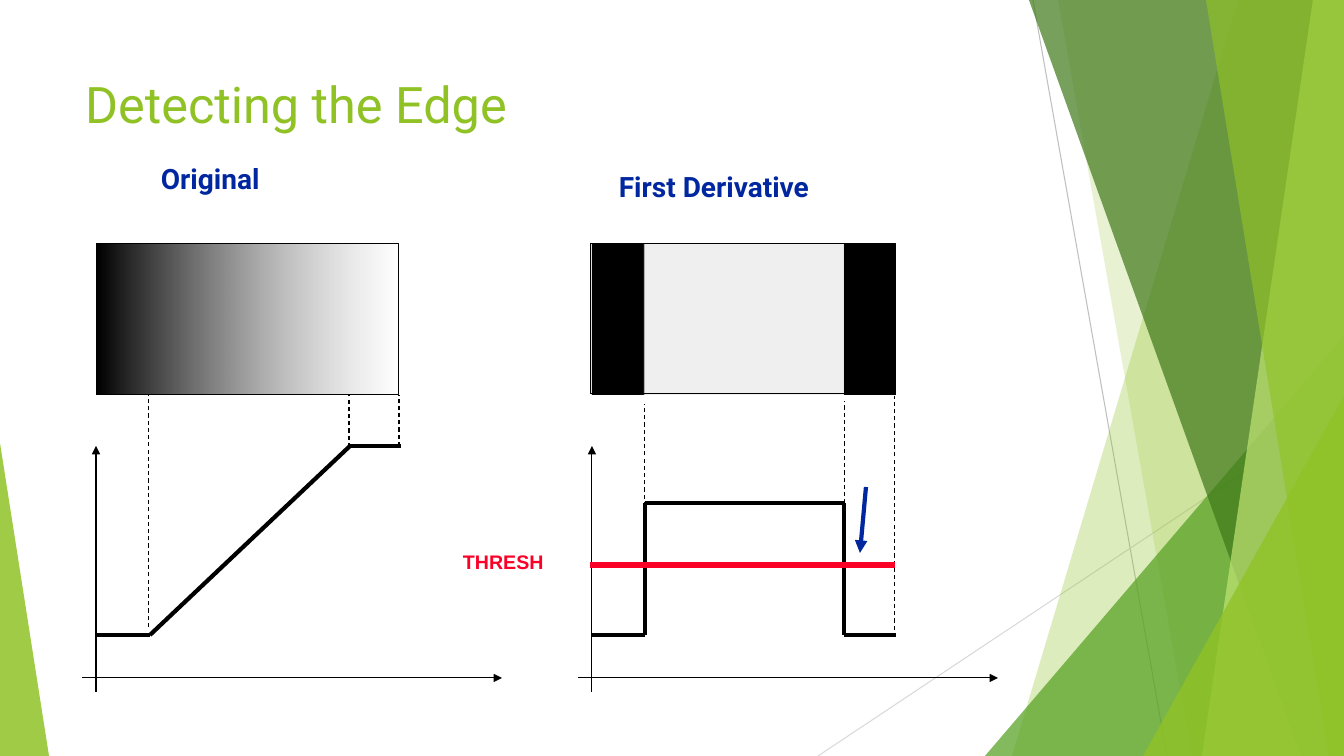
import pptx
import pptx.util
import pptx.dml.color
import pptx.enum.dml
import pptx.enum.shapes
import pptx.enum.text
import pptx.oxml
import pptx.oxml.ns

RGBColor = pptx.dml.color.RGBColor
Pt = pptx.util.Pt
SHAPE = pptx.enum.shapes.MSO_SHAPE
DASH = pptx.enum.dml.MSO_LINE.DASH
SOLID = pptx.enum.dml.MSO_LINE.SOLID
qn = pptx.oxml.ns.qn

BLACK = RGBColor(0x00, 0x00, 0x00)
WHITE = RGBColor(0xFF, 0xFF, 0xFF)
PALE_GRAY = RGBColor(0xEA, 0xEA, 0xEA)
LINE_GRAY = RGBColor(0xBF, 0xBF, 0xBF)
LIGHT_LINE_GRAY = RGBColor(0xD9, 0xD9, 0xD9)
LIME = RGBColor(0x90, 0xC2, 0x26)
GREEN = RGBColor(0x54, 0xA0, 0x21)
DARK_GREEN = RGBColor(0x3F, 0x78, 0x19)
PALE_LIME = RGBColor(0xC0, 0xE4, 0x74)
NAVY = RGBColor(0x00, 0x27, 0x9F)
RED = RGBColor(0xFC, 0x01, 0x28)

EMU_PER_PX = 914400 / 100.8
SLIDE_WIDTH, SLIDE_HEIGHT = 1344, 756
STRIP_TOP, STRIP_HEIGHT = 244, 151
STRIP_BOTTOM = STRIP_TOP + STRIP_HEIGHT
BASE_Y = 635
PLATEAU_Y = 503
THRESHOLD_Y = 565

THIN = {"width": Pt(0.75), "dash_style": SOLID}
DASHED = {"width": Pt(0.75), "dash_style": DASH}
CURVE = {"width": Pt(3), "dash_style": SOLID}
THRESHOLD = {"width": Pt(4.5), "dash_style": SOLID}
TITLE_FONT = {"size": Pt(36), "name": "Roboto", "bold": False}
CAPTION_FONT = {"size": Pt(20), "name": "Roboto", "bold": True}
THRESHOLD_FONT = {"size": Pt(14), "name": "Arial", "bold": True}


def px(length):
    return pptx.util.Emu(round(length * EMU_PER_PX))


def apply_format(target, values):
    for key, value in values.items():
        setattr(target, key, value)


def set_alpha(shape, percent):
    color = list(shape._element.spPr.iter(qn("a:srgbClr")))[-1]
    alpha = pptx.oxml.parse_xml(
        f'<a:alpha {pptx.oxml.ns.nsdecls("a")} val="{percent * 1000}"/>')
    color.append(alpha)


def fill_solid(shape, color, opacity=100):
    shape.shadow.inherit = False
    shape.line.fill.background()
    shape.fill.solid()
    shape.fill.fore_color.rgb = color
    if opacity < 100:
        set_alpha(shape, opacity)


def add_box(slide, kind, box):
    shape = slide.shapes.add_shape(kind, *map(px, box))
    shape.shadow.inherit = False
    return shape


def add_band(slide, left, width, color, opacity=100):
    band = add_box(slide, SHAPE.RECTANGLE, (left, STRIP_TOP, width, STRIP_HEIGHT))
    fill_solid(band, color, opacity)


def add_facet(slide, top_left, bottom_left, color, opacity):
    outline = slide.shapes.build_freeform(px(top_left), 0, scale=1.0)
    corners = [(SLIDE_WIDTH, 0), (SLIDE_WIDTH, SLIDE_HEIGHT), (bottom_left, SLIDE_HEIGHT)]
    outline.add_line_segments([(px(x), px(y)) for x, y in corners], close=True)
    fill_solid(outline.convert_to_shape(), color, opacity)


def add_wedge(slide, left, top, width, apex, color, opacity):
    wedge = add_box(slide, SHAPE.ISOSCELES_TRIANGLE,
                    (left, top, width, SLIDE_HEIGHT - top))
    wedge.adjustments[0] = apex
    fill_solid(wedge, color, opacity)


def add_line(slide, start, end, values, color=BLACK, arrow=False):
    line = slide.shapes.add_connector(
        pptx.enum.shapes.MSO_CONNECTOR.STRAIGHT, *map(px, (*start, *end)))
    line.line.color.rgb = color
    apply_format(line.line, values)
    if arrow:
        tail = pptx.oxml.parse_xml(
            f'<a:tailEnd {pptx.oxml.ns.nsdecls("a")} type="triangle"/>')
        line.line._get_or_add_ln().append(tail)
    effects = pptx.oxml.parse_xml(f'<a:effectLst {pptx.oxml.ns.nsdecls("a")}/>')
    line._element.spPr.append(effects)


def add_curve(slide, points):
    for start, end in zip(points, points[1:]):
        add_line(slide, start, end, CURVE)


def add_axes(slide, x):
    add_line(slide, (x, 692), (x, 446), THIN, arrow=True)
    add_line(slide, (x - 14, 678), (x + 406, 678), THIN, arrow=True)


def write_text(frame, text, values, color):
    apply_format(frame, {"word_wrap": True,
                         "vertical_anchor": pptx.enum.text.MSO_ANCHOR.TOP})
    paragraph = frame.paragraphs[0]
    paragraph.text = text
    paragraph.alignment = pptx.enum.text.PP_ALIGN.LEFT
    apply_format(paragraph.runs[0].font, values)
    paragraph.runs[0].font.color.rgb = color


def add_label(slide, box, text, values, color):
    label = slide.shapes.add_textbox(*map(px, box))
    write_text(label.text_frame, text, values, color)


def add_title(slide):
    title = slide.shapes.title
    apply_format(title, {"left": px(75), "top": px(68),
                         "width": px(948), "height": px(145)})
    write_text(title.text_frame, "Detecting the Edge", TITLE_FONT, LIME)


def add_backdrop(slide):
    add_line(slide, (1033, 0), (1167, SLIDE_HEIGHT), THIN, LINE_GRAY)
    add_line(slide, (SLIDE_WIDTH, 406), (818, SLIDE_HEIGHT), THIN, LIGHT_LINE_GRAY)
    add_facet(slide, 1238, 1012, LIME, 30)
    add_facet(slide, 1058, 1192, LIME, 20)
    add_wedge(slide, 985, 336, 359, 1, GREEN, 72)
    add_facet(slide, 1029, 1301, DARK_GREEN, 70)
    add_facet(slide, 1313, 1202, PALE_LIME, 70)
    add_facet(slide, 1206, 1329, LIME, 65)
    add_wedge(slide, 1143, 396, 201, 1, LIME, 80)
    add_wedge(slide, 0, 443, 49, 0, LIME, 85)


def add_ramp_panel(slide):
    ramp = add_box(slide, SHAPE.RECTANGLE, (97, STRIP_TOP, 302, STRIP_HEIGHT))
    ramp.fill.gradient()
    ramp.fill.gradient_angle = 0
    for stop, color in zip(ramp.fill.gradient_stops, (BLACK, WHITE)):
        stop.color.rgb = color
    set_alpha(ramp, 48)
    ramp.line.color.rgb = BLACK
    apply_format(ramp.line, THIN)
    for x, bottom in ((399, 446), (349, 447), (149, 627)):
        add_line(slide, (x, bottom), (x, STRIP_BOTTOM), DASHED)
    add_axes(slide, 96)
    add_curve(slide, [(96, BASE_Y), (150, BASE_Y), (350, 446), (401, 446)])
    add_label(slide, (151, 157, 199, 43), "Original", CAPTION_FONT, NAVY)


def add_derivative_panel(slide):
    add_label(slide, (609, 165, 270, 43), "First Derivative", CAPTION_FONT, NAVY)
    for x, top, bottom in ((895, 396, 637), (845, 401, 554), (645, 404, 636)):
        add_line(slide, (x, bottom), (x, top), DASHED)
    add_axes(slide, 592)
    add_curve(slide, [(592, BASE_Y), (645, BASE_Y), (645, PLATEAU_Y),
                      (844, PLATEAU_Y), (844, BASE_Y), (896, BASE_Y)])
    add_band(slide, 592, 53, BLACK)
    add_band(slide, 844, 52, BLACK)
    add_band(slide, 644, 200, PALE_GRAY, 75)
    border = add_box(slide, SHAPE.RECTANGLE, (591, STRIP_TOP, 305, STRIP_HEIGHT - 1))
    border.fill.background()
    border.line.color.rgb = BLACK
    apply_format(border.line, THIN)
    add_line(slide, (590, THRESHOLD_Y), (895, THRESHOLD_Y), THRESHOLD, RED)
    add_label(slide, (453, 545, 110, 34), "THRESH", THRESHOLD_FONT, RED)
    add_line(slide, (866, 487), (860, 553), CURVE, NAVY, arrow=True)


def main():
    deck = pptx.Presentation()
    apply_format(deck, {"slide_width": px(SLIDE_WIDTH), "slide_height": px(SLIDE_HEIGHT)})
    slide = deck.slides.add_slide(deck.slide_layouts[5])
    add_backdrop(slide)
    add_title(slide)
    add_ramp_panel(slide)
    add_derivative_panel(slide)
    deck.save("out.pptx")


if __name__ == "__main__":
    main()
